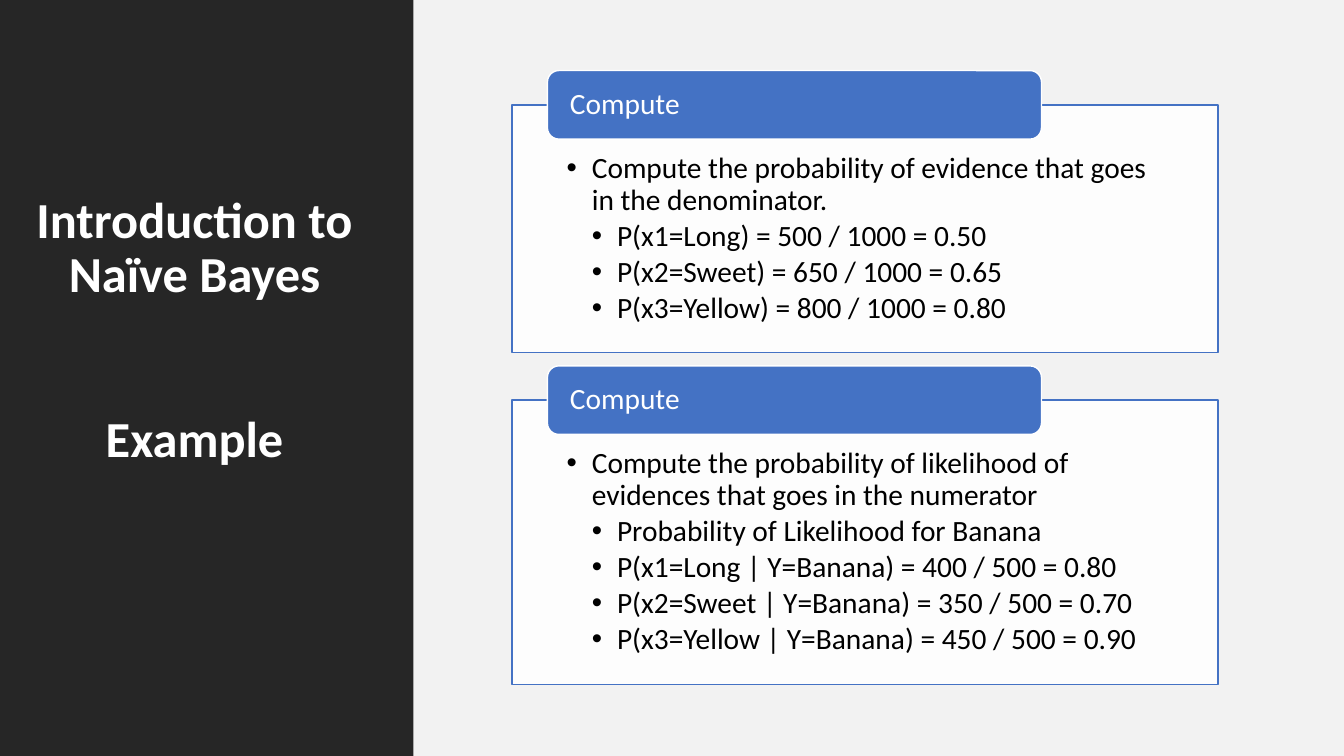
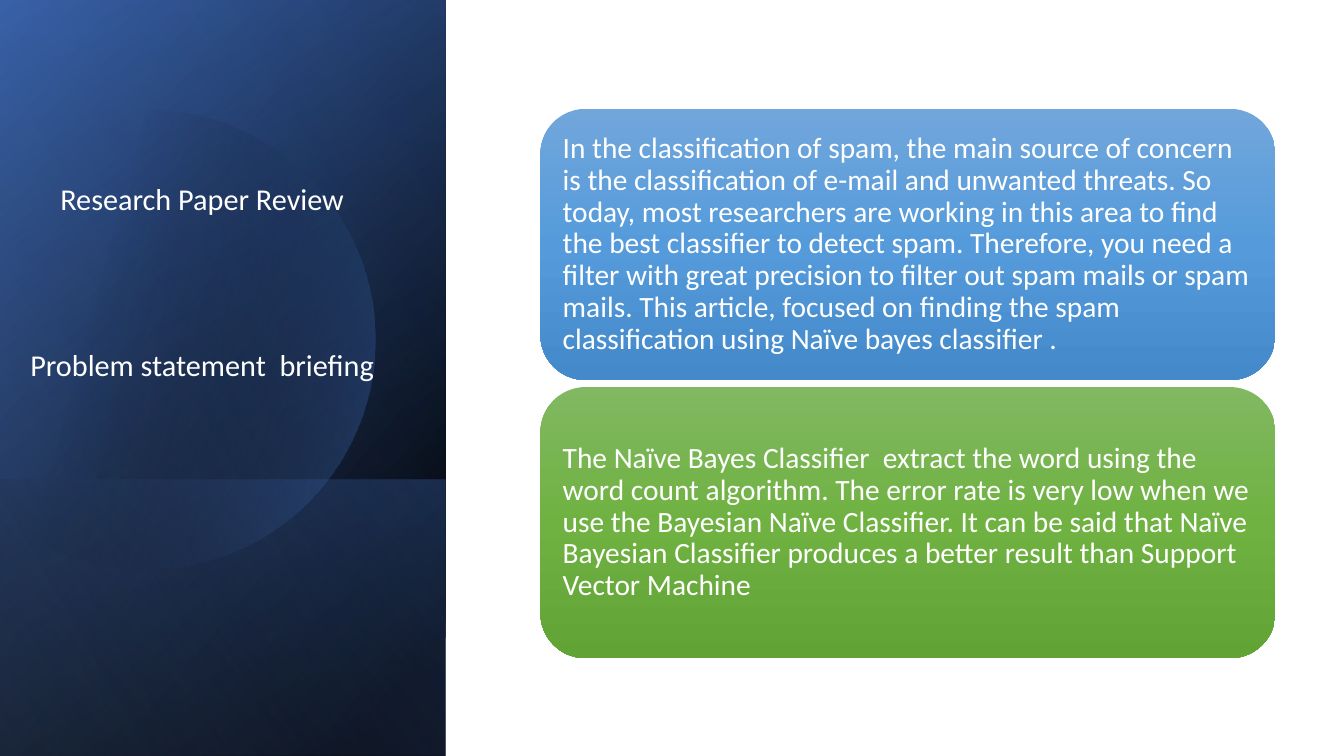
"""Build two slides on Naïve Bayes: a worked example and a paper review."""
import math

import pptx
import pptx.dml.color
import pptx.enum.shapes
import pptx.enum.text
import pptx.oxml.ns
import pptx.util
from lxml import etree

Inches = pptx.util.Inches
Pt = pptx.util.Pt
RGBColor = pptx.dml.color.RGBColor
Shapes = pptx.enum.shapes.MSO_SHAPE
Anchor = pptx.enum.text.MSO_ANCHOR
qn = pptx.oxml.ns.qn

FONT = "Calibri"
BODY_SIZE = 21
SLIDE_WIDTH, SLIDE_HEIGHT = 13.33, 7.5
BLACK = RGBColor(0x00, 0x00, 0x00)
WHITE = RGBColor(0xFF, 0xFF, 0xFF)
CHARCOAL = RGBColor(0x26, 0x26, 0x26)
LIGHT_GRAY = RGBColor(0xF2, 0xF2, 0xF2)
CARD_WHITE = RGBColor(0xFD, 0xFD, 0xFD)
BLUE = RGBColor(0x44, 0x72, 0xC4)
DARK_BLUE = RGBColor(0x2F, 0x55, 0x97)
PALE_BLUE = RGBColor(0x8F, 0xAA, 0xDC)
BLUE_SHADES = [RGBColor.from_string(code) for code in ("71A6DB", "559BDB", "448ACA")]
GREEN_SHADES = [RGBColor.from_string(code) for code in ("81B861", "6FB242", "62A336")]

EVIDENCE = [
    "Compute the probability of evidence that goes in the denominator.",
    "P(x1=Long) = 500 / 1000 = 0.50",
    "P(x2=Sweet) = 650 / 1000 = 0.65",
    "P(x3=Yellow) = 800 / 1000 = 0.80",
]
LIKELIHOOD = [
    "Compute the probability of likelihood of evidences that goes in the numerator",
    "Probability of Likelihood for Banana",
    "P(x1=Long | Y=Banana) = 400 / 500 = 0.80",
    "P(x2=Sweet | Y=Banana) = 350 / 500 = 0.70",
    "P(x3=Yellow | Y=Banana) = 450 / 500 = 0.90",
]
CONCERN = (
    "In the classification of spam, the main source of concern is the classification "
    "of e-mail and unwanted threats. So today, most researchers are working in this "
    "area to find the best classifier to detect spam. Therefore, you need a filter "
    "with great precision to filter out spam mails or spam mails. This article, "
    "focused on finding the spam classification using Naïve bayes classifier ."
)
FINDING = (
    "The Naïve Bayes Classifier  extract the word using the word count algorithm. "
    "The error rate is very low when we use the Bayesian Naïve Classifier. It can be "
    "said that Naïve Bayesian Classifier produces a better result than Support "
    "Vector Machine"
)


def place(shape, left, top, width, height):
    """Move and size a shape, in inches."""
    shape.left, shape.top = Inches(left), Inches(top)
    shape.width, shape.height = Inches(width), Inches(height)


def bring_to_front(shape):
    """Move a shape above everything drawn so far."""
    shape.element.getparent().append(shape.element)


def add_block(slide, box, kind=Shapes.RECTANGLE, color=None):
    """Add a shape without shadow or line, optionally with a plain fill."""
    shape = slide.shapes.add_shape(kind, *map(Inches, box))
    shape.shadow.inherit = False
    shape.line.fill.background()
    if color is not None:
        shape.fill.solid()
        shape.fill.fore_color.rgb = color
    return shape


def fill_gradient(shape, angle, stops):
    """Fill with a clockwise gradient of (position, colour, opacity) percentages."""
    shape.fill.gradient()
    shape.fill.gradient_angle = -angle % 360
    stop_list = shape.element.find(".//" + qn("a:gsLst"))
    for old_stop in list(stop_list):
        stop_list.remove(old_stop)
    for position, color, opacity in stops:
        stop = etree.SubElement(stop_list, qn("a:gs"), pos=str(position * 1000))
        value = etree.SubElement(stop, qn("a:srgbClr"), val=str(color))
        if opacity < 100:
            etree.SubElement(value, qn("a:alpha"), val=str(opacity * 1000))


def format_paragraph(paragraph, size, color, bold=False, after=0):
    """Apply the shared font and tight line spacing."""
    paragraph.line_spacing = 0.9
    paragraph.space_before = Pt(0)
    paragraph.space_after = Pt(after)
    for run in paragraph.runs:
        run.font.name = FONT
        run.font.size = Pt(size)
        run.font.bold = bold
        run.font.color.rgb = color


def set_frame(frame, anchor, horizontal, top=0, bottom=0):
    """Set wrapping, anchor and insets of a text frame."""
    frame.word_wrap = True
    frame.auto_size = pptx.enum.text.MSO_AUTO_SIZE.NONE
    frame.vertical_anchor = anchor
    frame.margin_left = frame.margin_right = Inches(horizontal)
    frame.margin_top, frame.margin_bottom = Inches(top), Inches(bottom)


def add_title(slide, lines, box, size, gap, anchor, bold=False):
    """Fill the title placeholder with two centred paragraphs set apart by a gap."""
    title = slide.shapes.title
    place(title, *box)
    bring_to_front(title)
    set_frame(title.text_frame, anchor, 0.1, 0.05, 0.05)
    title.text_frame.text = "\n".join(lines)
    for paragraph in title.text_frame.paragraphs:
        format_paragraph(paragraph, size, WHITE, bold)
        paragraph.alignment = pptx.enum.text.PP_ALIGN.CENTER
    title.text_frame.paragraphs[-1].space_before = Pt(gap)


def add_bullet(paragraph, level):
    """Give a paragraph a round bullet and a quarter-inch hanging indent."""
    paragraph.level = level
    properties = paragraph._p.get_or_add_pPr()
    properties.set("marL", str(Inches(0.25 * level)))
    properties.set("indent", str(-Inches(0.25)))
    etree.SubElement(properties, qn("a:buFont"), typeface="Arial")
    etree.SubElement(properties, qn("a:buChar"), char="•")


def add_label(slide, text, left, top):
    """Add the rounded label that overlaps the top of a card."""
    label = add_block(slide, (left, top, 4.9, 0.68), Shapes.ROUNDED_RECTANGLE, BLUE)
    label.line.color.rgb = WHITE
    label.line.width = Pt(1)
    set_frame(label.text_frame, Anchor.MIDDLE, 0.19)
    label.text_frame.text = text
    paragraph = label.text_frame.paragraphs[0]
    format_paragraph(paragraph, BODY_SIZE, WHITE)
    paragraph.alignment = pptx.enum.text.PP_ALIGN.LEFT


def add_list_card(slide, placeholder, lines, top, height):
    """Turn a body placeholder into an outlined card with a label."""
    left = 5.08
    place(placeholder, left, top, 7, height)
    bring_to_front(placeholder)
    placeholder.fill.solid()
    placeholder.fill.fore_color.rgb = CARD_WHITE
    placeholder.line.color.rgb = BLUE
    placeholder.line.width = Pt(1)
    frame = placeholder.text_frame
    set_frame(frame, Anchor.TOP, 0.54, 0.48, 0.16)
    frame.text = "\n".join(lines)
    for index, paragraph in enumerate(frame.paragraphs):
        format_paragraph(paragraph, BODY_SIZE, BLACK, after=3)
        add_bullet(paragraph, 1 if index == 0 else 2)
    add_label(slide, "Compute", left + 0.35, top - 0.34)


def add_text_card(slide, text, top, shades):
    """Add a rounded gradient card with a passage of text."""
    card = add_block(slide, (5.36, top, 7.29, 2.69), Shapes.ROUNDED_RECTANGLE)
    fill_gradient(card, 90, [(i * 50, shade, 100) for i, shade in enumerate(shades)])
    set_frame(card.text_frame, Anchor.MIDDLE, 0.09, 0.09, 0.09)
    card.text_frame.text = text
    paragraph = card.text_frame.paragraphs[0]
    format_paragraph(paragraph, BODY_SIZE, WHITE)
    paragraph.alignment = pptx.enum.text.PP_ALIGN.LEFT


def add_cut_disc(slide, center_x, center_y, radius):
    """Add a translucent disc cut off by the left edge of the slide."""
    reach = math.pi - math.acos(center_x / radius)
    steps = 120
    angles = [reach * (2 * step / steps - 1) for step in range(steps + 1)]
    points = [
        (Inches(center_x + radius * math.cos(angle)), Inches(center_y + radius * math.sin(angle)))
        for angle in angles
    ]
    builder = slide.shapes.build_freeform(*points[0])
    builder.add_line_segments(points[1:], close=True)
    disc = builder.convert_to_shape()
    disc.shadow.inherit = False
    disc.line.fill.background()
    fill_gradient(disc, 15, [(29, BLACK, 0), (100, BLUE, 43)])


def add_night_panel(slide):
    """Layer the dark blue gradients of the left panel."""
    panel = (0, 0, 4.42, SLIDE_HEIGHT)
    strip = (0, 4.76, 4.42, 2.74)
    fill_gradient(add_block(slide, panel), 220, [(8, BLACK, 100), (100, DARK_BLUE, 100)])
    fill_gradient(add_block(slide, panel), 240, [(0, BLACK, 0), (99, BLUE, 46)])
    fill_gradient(add_block(slide, strip), 140, [(2, BLUE, 29), (100, BLACK, 30)])
    add_cut_disc(slide, 1.44, 3.37, 2.28)
    fill_gradient(add_block(slide, panel), 150, [(0, BLACK, 0), (99, PALE_BLUE, 11)])


def build_example(presentation):
    """Build the worked example slide."""
    slide = presentation.slides.add_slide(presentation.slide_layouts.get_by_name("Two Content"))
    add_block(slide, (4.09, 0, SLIDE_WIDTH - 4.09, SLIDE_HEIGHT), color=LIGHT_GRAY)
    add_block(slide, (0, 0, 4.1, SLIDE_HEIGHT), color=CHARCOAL)
    add_title(slide, ["Introduction to Naïve Bayes", "Example"],
              (0.2, 1.88, 3.46, 4.92), 36, 79, Anchor.TOP, bold=True)
    add_list_card(slide, slide.placeholders[1], EVIDENCE, 1.04, 2.46)
    add_list_card(slide, slide.placeholders[2], LIKELIHOOD, 3.97, 2.82)


def build_review(presentation):
    """Build the research paper review slide."""
    slide = presentation.slides.add_slide(presentation.slide_layouts.get_by_name("Title Only"))
    add_night_panel(slide)
    add_title(slide, ["Research Paper Review", "Problem statement  briefing"],
              (0.12, 1.7, 3.77, 2.15), 21.6, 95, Anchor.BOTTOM)
    add_text_card(slide, CONCERN, 1.08, BLUE_SHADES)
    add_text_card(slide, FINDING, 3.84, GREEN_SHADES)


def main():
    """Create and save the presentation."""
    presentation = pptx.Presentation()
    presentation.slide_width = Inches(SLIDE_WIDTH)
    presentation.slide_height = Inches(SLIDE_HEIGHT)
    build_example(presentation)
    build_review(presentation)
    presentation.save("out.pptx")


if __name__ == "__main__":
    main()
